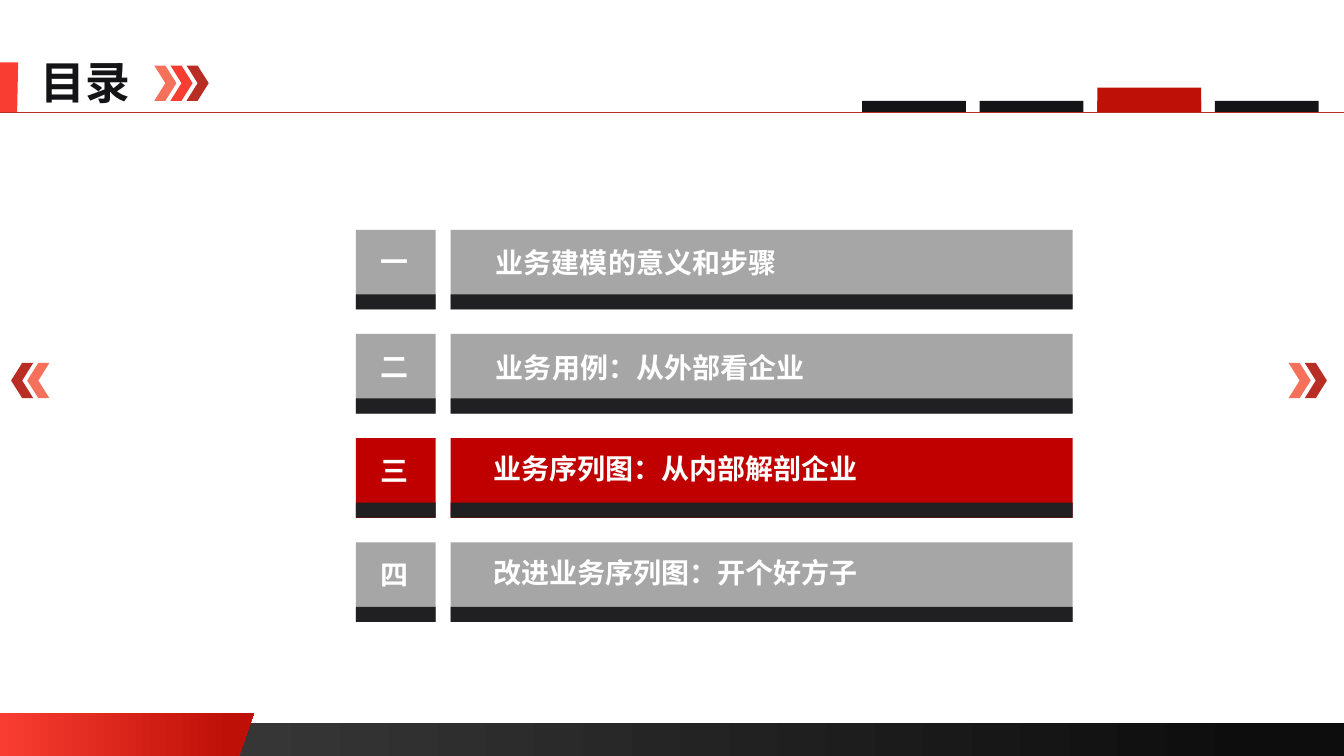
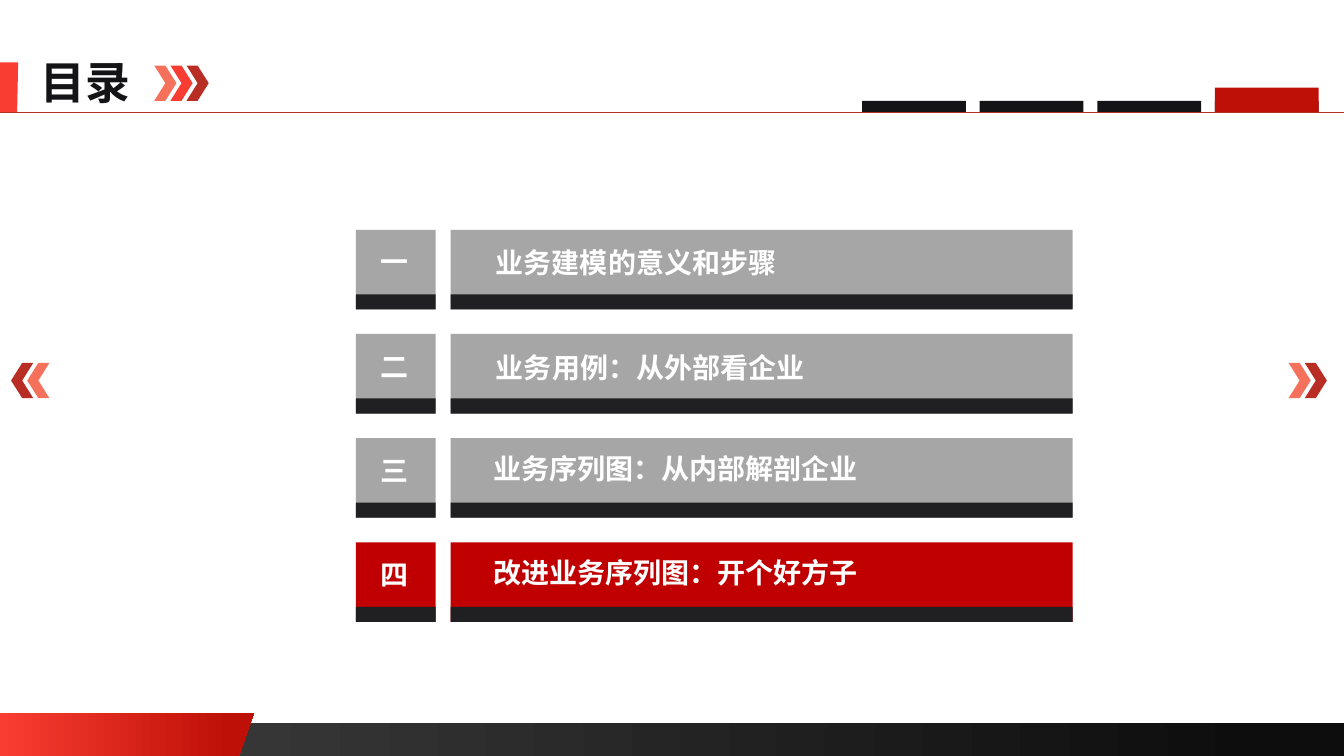
from lxml.etree import SubElement
from pptx import Presentation
from pptx.dml.color import RGBColor
from pptx.enum.shapes import MSO_CONNECTOR, MSO_SHAPE
from pptx.enum.text import MSO_ANCHOR, MSO_AUTO_SIZE, PP_ALIGN
from pptx.oxml.ns import qn
from pptx.util import Inches, Pt

FONT = "Noto Sans CJK SC"
WHITE, INK, SHADE, GRAY = "FFFFFF", "141316", "202022", "A6A6A6"
CORAL, BRIGHT, BRICK = "F5715B", "F93D32", "B82E24"
TAB_RED, ROW_RED = "BE1007", "C00000"

CHAPTERS = [
    ("一", "业务建模的意义和步骤", 4.81, 0.11),
    ("二", "业务用例：从外部看企业", 4.81, 0.11),
    ("三", "业务序列图：从内部解剖企业", 4.78, 0.08),
    ("四", "改进业务序列图：开个好方子", 4.78, 0.08),
]
ROW_TOP = 2.28
ROW_PITCH = 3.1 / 3
TAB_LEFT = 8.55
TAB_PITCH = 3.5 / 3


def color(value):
    return RGBColor.from_string(value)


def write_text(shape, text, size=20, ink=WHITE, align=PP_ALIGN.CENTER):
    frame = shape.text_frame
    frame.word_wrap = False
    frame.auto_size = MSO_AUTO_SIZE.SHAPE_TO_FIT_TEXT
    frame.vertical_anchor = MSO_ANCHOR.TOP
    para = frame.paragraphs[0]
    para.alignment = align
    para.line_spacing = 1.0
    span = para.add_run()
    span.text = text
    span.font.size = Pt(size)
    span.font.bold = True
    span.font.color.rgb = color(ink)
    span.font.name = FONT
    SubElement(span.font._element, qn("a:ea"), typeface=FONT)


class AgendaStyle:
    def __init__(self, deck):
        self.deck = deck
        self.page = None

    def start_page(self):
        self.page = self.deck.slides.add_slide(self.deck.slide_layouts[5])

    def group(self):
        return self.page.shapes.add_group_shape().shapes

    def paint(self, shape, fill, end=None, stop=1.0):
        shape.shadow.inherit = False
        shape.line.fill.background()
        if end is None:
            shape.fill.solid()
            shape.fill.fore_color.rgb = color(fill)
            return
        shape.fill.gradient()
        shape.fill.gradient_angle = 0
        for point, position, value in zip(
            shape.fill.gradient_stops, (0, stop), (fill, end)
        ):
            point.position = position
            point.color.rgb = color(value)

    def block(self, left, top, width, height, fill, kind=MSO_SHAPE.RECTANGLE,
              shapes=None, **gradient):
        target = self.page.shapes if shapes is None else shapes
        shape = target.add_shape(
            kind, Inches(left), Inches(top), Inches(width), Inches(height)
        )
        self.paint(shape, fill, **gradient)
        return shape

    def outline(self, points, fill, **gradient):
        corners = [(Inches(x), Inches(y)) for x, y in points]
        builder = self.page.shapes.build_freeform(*corners[0])
        builder.add_line_segments(corners[1:], close=True)
        self.paint(builder.convert_to_shape(), fill, **gradient)

    def label(self, text, left, top, shapes):
        box = shapes.add_textbox(
            Inches(left), Inches(top), Inches(0.2 + 0.28 * len(text)), Inches(0.44)
        )
        write_text(box, text)

    def title(self, text):
        title = self.page.shapes.title
        title.left, title.top = Inches(0.3), Inches(0.49)
        title.width, title.height = Inches(1.1), Inches(0.64)
        write_text(title, text, size=32, ink=INK, align=PP_ALIGN.LEFT)

    def rule(self, top):
        line = self.page.shapes.add_connector(
            MSO_CONNECTOR.STRAIGHT, 0, Inches(top), self.deck.slide_width, Inches(top)
        )
        line.line.color.rgb = color(BRICK)
        line.line.width = Pt(0.5)
        SubElement(line._element.spPr, qn("a:effectLst"))

    def chevrons(self, left, top, fills, step=0.16, rotation=0):
        shapes = self.group()
        for index, fill in enumerate(fills):
            chevron = self.block(left + index * step, top, 0.22, 0.35, fill,
                                 kind=MSO_SHAPE.CHEVRON, shapes=shapes)
            chevron.rotation = rotation

    def frame(self):
        self.block(0, 7.17, 13.33, 0.33, "404040", end="0D0D0D", stop=0.94)
        self.outline([(0, 7.07), (2.52, 7.07), (2.37, 7.5), (0, 7.5)],
                     BRIGHT, end=TAB_RED, stop=0.91)
        self.outline([(0, 0.62), (0.18, 0.62), (0.17, 1.12), (0, 1.12)], BRIGHT)
        self.rule(1.11)
        self.chevrons(1.53, 0.65, [CORAL, BRIGHT, BRICK])
        self.chevrons(12.78, 3.6, [CORAL, BRICK])
        self.chevrons(0.27, 3.6, [CORAL, BRICK], step=-0.16, rotation=180)

    def tabs(self, current):
        for index in range(len(CHAPTERS)):
            self.block(TAB_LEFT + index * TAB_PITCH, 1, 1.03, 0.11, INK)
        self.block(TAB_LEFT + current * TAB_PITCH, 0.87, 1.03, 0.24, TAB_RED)

    def chapter(self, index, active):
        number, name, name_left, name_drop = CHAPTERS[index]
        top = ROW_TOP + index * ROW_PITCH
        shapes = self.group()
        for left, width in ((3.53, 0.79), (4.47, 6.17)):
            self.block(left, top, width, 0.79, ROW_RED if active else GRAY,
                       shapes=shapes)
            self.block(left, top + 0.64, width, 0.15, SHADE, shapes=shapes)
        self.label(number, 3.67, top + 0.1, shapes)
        self.label(name, name_left, top + name_drop, shapes)

    def agenda(self, current):
        self.start_page()
        self.frame()
        self.title("目录")
        self.tabs(current)
        for index in range(len(CHAPTERS)):
            self.chapter(index, index == current)


def main():
    deck = Presentation()
    deck.slide_width, deck.slide_height = Inches(13.33), Inches(7.5)
    style = AgendaStyle(deck)
    for current in (2, 3):
        style.agenda(current)
    deck.save("out.pptx")


if __name__ == "__main__":
    main()
